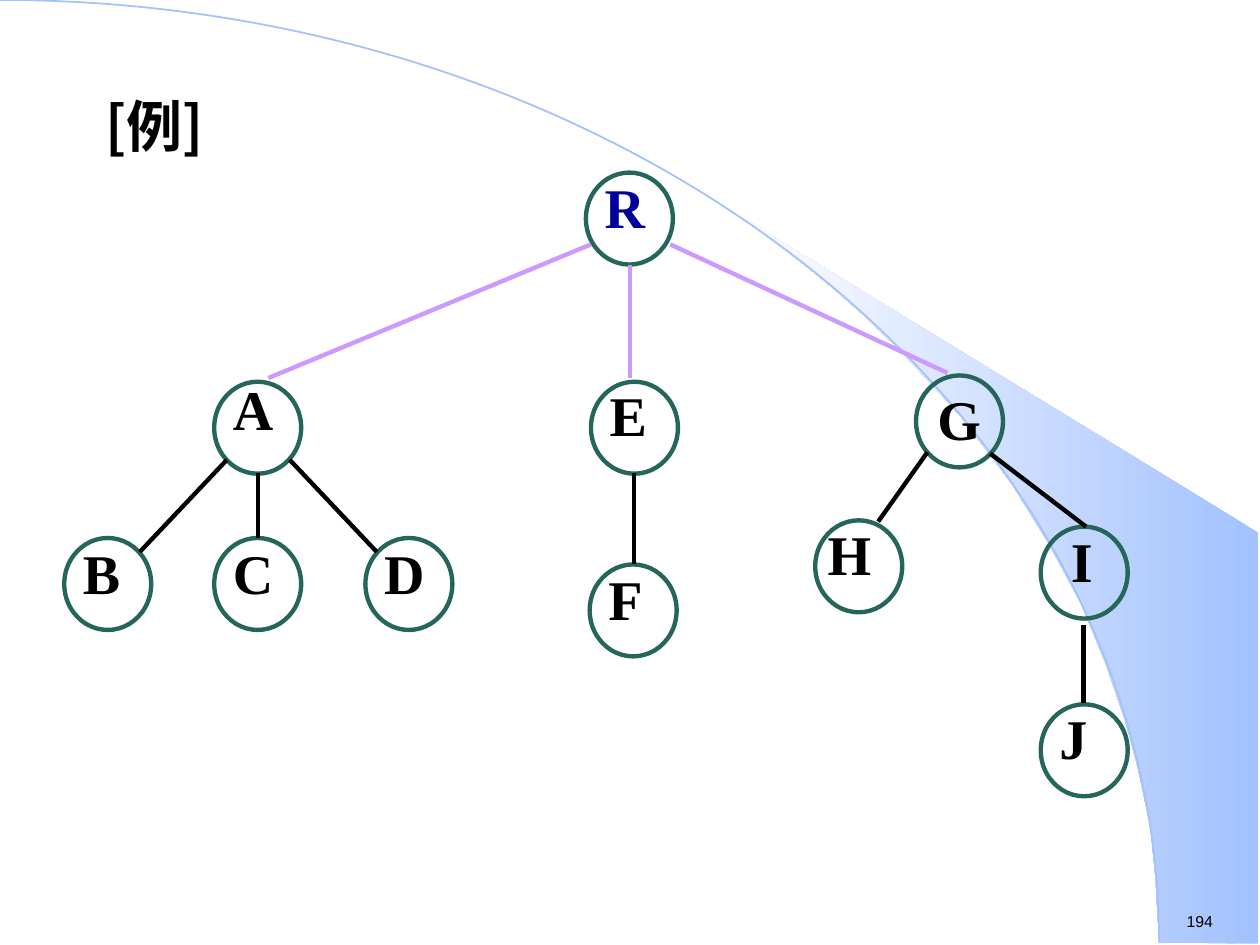
from pptx import Presentation
from pptx.dml.color import RGBColor
from pptx.enum.shapes import MSO_CONNECTOR, MSO_SHAPE
from pptx.enum.text import MSO_AUTO_SIZE
from pptx.oxml.ns import qn
from pptx.util import Pt
from lxml.etree import SubElement

PX = 9144  # 100 px to the inch
COLORS = {
    "ink": "000000", "root": "000099", "ring": "26665A",
    "branch": "CC99FF", "sky": "A2C1FE", "haze": "FEFEFE",
}
NODE_WIDTH, NODE_HEIGHT = 69, 73


def color(name):
    return RGBColor.from_string(COLORS[name])


def add_label(text, left, top, width, height, ink="ink", wrap=True, spacing=None, **font):
    box = page.shapes.add_textbox(left * PX, top * PX, width * PX, height * PX)
    frame = box.text_frame
    frame.word_wrap = wrap
    frame.auto_size = MSO_AUTO_SIZE.SHAPE_TO_FIT_TEXT
    paragraph = frame.paragraphs[0]
    if spacing:
        paragraph.line_spacing = spacing
    span = paragraph.add_run()
    span.text = text
    for key, value in font.items():
        setattr(span.font, key, value)
    span.font.color.rgb = color(ink)
    SubElement(span.font._element, qn("a:ea")).set("typeface", font["name"])


deck = Presentation()
deck.slide_width, deck.slide_height = 1000 * PX, 750 * PX
page = deck.slides.add_slide(deck.slide_layouts[6])

# Background sweep and arc
sweep_points = [
    (999, 749), (999, 423), (589, 173), (624, 199), (653, 222), (685, 250),
    (716, 280), (762, 330), (803, 384), (832, 431), (858, 479), (878, 528),
    (893, 572), (903, 609), (913, 656), (917, 696), (920, 748),
]
builder = page.shapes.build_freeform(920, 748, scale=PX)
builder.add_line_segments(sweep_points, close=True)
sweep = builder.convert_to_shape()
sweep.shadow.inherit = False
sweep.line.fill.background()
sweep.fill.gradient()
sweep.fill.gradient_angle = 180
for stop, position, name in zip(sweep.fill.gradient_stops, (0, 1), ("sky", "haze")):
    stop.position = position
    stop.color.rgb = color(name)

arc = page.shapes.add_shape(MSO_SHAPE.ARC, -920 * PX, 0, 1840 * PX, 1497 * PX)
arc.shadow.inherit = False
arc.fill.background()
arc.line.color.rgb = color("sky")
arc.line.width = Pt(1)

add_label("194", 932, 719, 77, 25, wrap=False, name="Arial", size=Pt(9))
add_label("[例]", 74, 68, 119, 64, wrap=False,
          name="Noto Sans CJK SC", size=Pt(32), bold=True)

# Tree nodes: letter, left, top, label offset, line spacing
nodes = [
    ("A", 170, 303, (5, -11), None),
    ("C", 170, 427, (5, -10), 1.1),
    ("B", 51, 427, (5, -10), 1.1),
    ("D", 290, 427, (5, -10), 1.1),
    ("F", 468, 448, (5, -10), 1.1),
    ("E", 469, 303, (5, -11), 1.1),
    ("G", 727, 298, (7, 2), None),
    ("J", 826, 559, (5, -11), 1.1),
    ("H", 647, 413, (0, -11), 1.1),
    ("I", 826, 418, (14, -10), 1.1),
    ("R", 465, 137, (5, -10), 1.1),
]
for letter, left, top, (shift_x, shift_y), spacing in nodes:
    ring = page.shapes.add_shape(MSO_SHAPE.OVAL, left * PX, top * PX,
                                 NODE_WIDTH * PX, NODE_HEIGHT * PX)
    ring.shadow.inherit = False
    ring.fill.background()
    ring.line.color.rgb = color("ring")
    ring.line.width = Pt(2.5)
    add_label(letter, left + shift_x, top + shift_y, NODE_WIDTH, 69 if spacing else 64,
              ink="root" if letter == "R" else "ink", spacing=spacing,
              name="Times New Roman", size=Pt(32), bold=True)

# Tree edges, by colour: start x, start y, end x, end y
edges = {
    "ink": [
        (205, 375, 205, 427), (180, 365, 111, 438), (230, 365, 299, 438),
        (503, 375, 503, 448), (736, 359, 697, 414), (786, 360, 862, 418),
        (860, 496, 860, 558),
    ],
    "branch": [(469, 194, 213, 300), (500, 210, 500, 300), (532, 194, 752, 296)],
}
for name, segments in edges.items():
    for segment in segments:
        edge = page.shapes.add_connector(MSO_CONNECTOR.STRAIGHT,
                                         *(value * PX for value in segment))
        edge.line.color.rgb = color(name)
        edge.line.width = Pt(2.5)
        SubElement(edge._element.spPr, qn("a:effectLst"))

deck.save("out.pptx")
